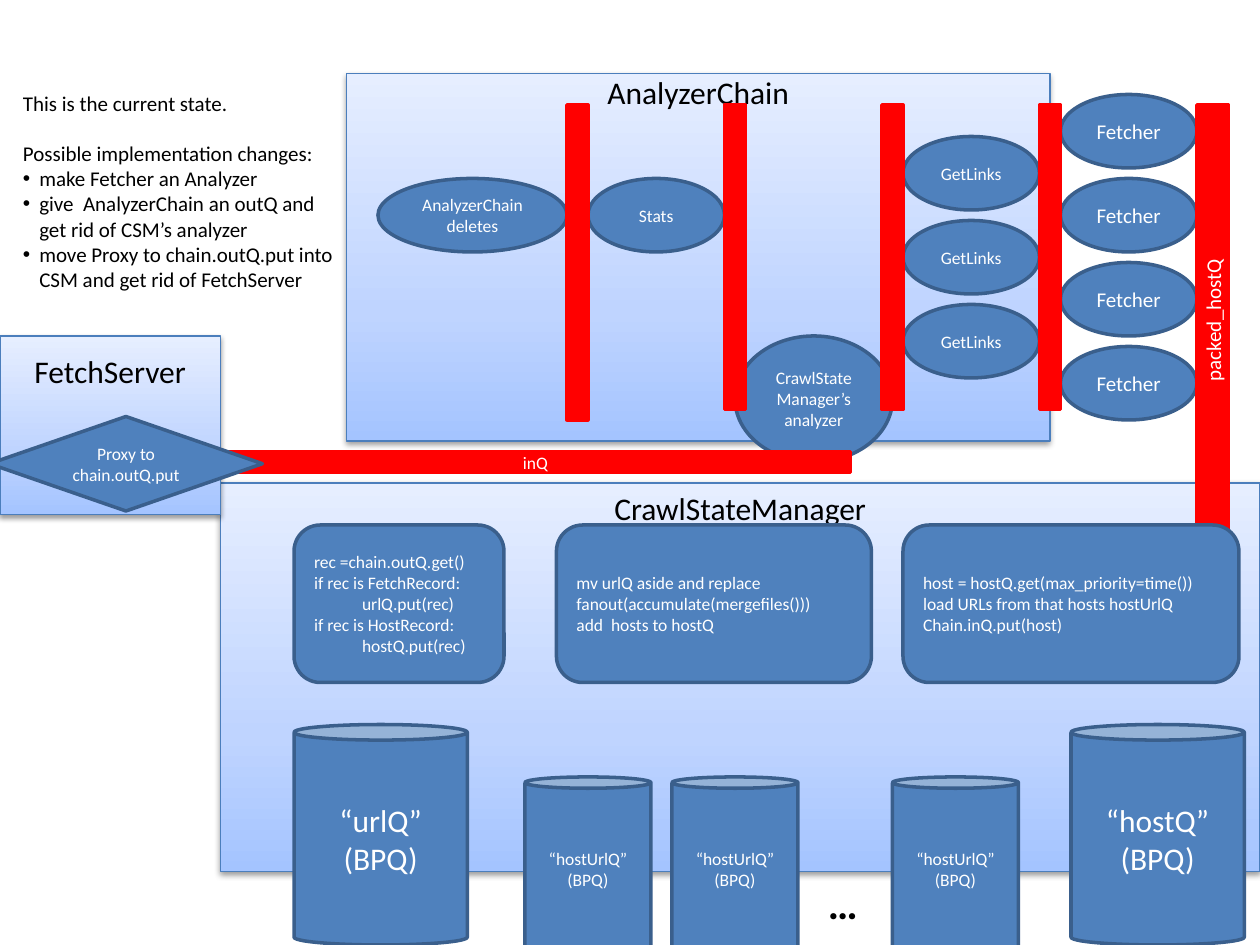
from copy import deepcopy

from lxml import etree
from pptx import Presentation
from pptx.dml import color
from pptx.enum import shapes, text
from pptx.oxml import ns
from pptx.util import Pt

KIND = shapes.MSO_SHAPE
LEFT, CENTER = text.PP_ALIGN.LEFT, text.PP_ALIGN.CENTER
BLUE, EDGE, RED, WHITE, BLACK = "4F81BD", "3A5F8C", "FF0000", "FFFFFF", "000000"
ROW = 48  # distance between stacked workers


def paint(target, value):
    """Give a fill or font a solid colour from a hex string."""
    if hasattr(target, "solid"):
        target.solid()
        target.fore_color.rgb = color.RGBColor.from_string(value)
    else:
        target.color.rgb = color.RGBColor.from_string(value)


def write(box, lines, size, tone=WHITE, align=CENTER, bold=False):
    """Fill a box with one formatted paragraph per line."""
    frame = box.text_frame
    frame.text = "\n".join(lines)
    for para in frame.paragraphs:
        para.alignment = align
        for span in para.runs:
            span.font.size, span.font.name, span.font.bold = Pt(size), "Calibri", bold
            paint(span.font, tone)
    return frame


def indent(para, left, hanging=0, bullet=None):
    """Indent a paragraph and optionally give it a hanging bullet."""
    props = para._p.get_or_add_pPr()
    props.set("marL", str(Pt(left)))
    props.set("indent", str(-Pt(hanging)))
    if bullet:
        font = etree.SubElement(props, ns.qn("a:buFont"))
        font.set("typeface", "Arial")
        etree.SubElement(props, ns.qn("a:buChar")).set("char", bullet)


def node(page, kind, box, lines=(), size=10, fill=BLUE, edge=EDGE, align=CENTER):
    """Draw a solid shape with a two-point outline and its label."""
    shape = page.shapes.add_shape(kind, *map(Pt, box))
    shape.shadow.inherit = False
    paint(shape.fill, fill)
    paint(shape.line.fill, edge)
    shape.line.width = Pt(2)
    if lines:
        write(shape, lines, size, align=align)
    return shape


def queue(page, box, lines=(), size=10):
    """Draw a red queue bar."""
    return node(page, KIND.RECTANGLE, box, lines, size, RED, RED)


def panel(page, box, title, inset):
    """Draw a gradient panel with a soft shadow and a heading at its top."""
    shape = page.shapes.add_shape(KIND.RECTANGLE, *map(Pt, box))
    shape.fill.gradient()
    stops = shape._element.spPr.find(".//" + ns.qn("a:gsLst"))
    stops.insert(1, deepcopy(stops[0]))
    levels = ((0, "A4C4FF"), (0.35, "BFD4FF"), (1, "E6EEFF"))
    for stop, (position, value) in zip(shape.fill.gradient_stops, levels):
        stop.position = position
        paint(stop, value)
    shape.fill.gradient_angle = 90
    paint(shape.line.fill, "4B7EBC")
    shape.line.width = Pt(0.75)
    shape.shadow.inherit = False
    effects = shape._element.spPr.find(ns.qn("a:effectLst"))
    shadow = etree.SubElement(effects, ns.qn("a:outerShdw"), blurRad=str(Pt(3.1)),
                              dist=str(Pt(1.6)), dir="5400000", rotWithShape="0")
    tint = etree.SubElement(shadow, ns.qn("a:srgbClr"), val=BLACK)
    etree.SubElement(tint, ns.qn("a:alpha"), val="38000")
    frame = write(shape, [title], 18, BLACK)
    frame.vertical_anchor = text.MSO_ANCHOR.TOP
    frame.margin_top = Pt(inset)


def workers(page, left, top, label, count, size):
    """Stack equal ellipses downwards."""
    for index in range(count):
        node(page, KIND.OVAL, (left, top + index * ROW, 78, 42), [label], size)


def fetchers(page, left, top):
    """Draw the fetchers and the host queue that feeds them."""
    workers(page, left, top, "Fetcher", 4, 12)
    bar = queue(page, (left + 78, top + 6, 18, 246), ["packed_hostQ"], 12)
    bar.text_frame._txBody.bodyPr.set("vert", "vert270")


def analyzers(page, left, top):
    """Draw the chain of analyzers with the queues between them."""
    workers(page, left + 318, top + 36, "GetLinks", 3, 10)
    node(page, KIND.OVAL, (left + 222, top + 150, 90, 72),
         ["CrawlStateManager’s analyzer"])
    workers(page, left + 138, top + 60, "Stats", 1, 10)
    node(page, KIND.OVAL, (left + 18, top + 60, 108, 42), ["AnalyzerChain deletes"])
    for offset, height in ((126, 180), (216, 174), (306, 174), (396, 174)):
        queue(page, (left + offset, top + 18, 12, height))


def proxy(page, left, top):
    """Draw the incoming queue and the proxy in front of it."""
    queue(page, (left + 126, top + 66, 360, 12), ["inQ"])
    node(page, KIND.DIAMOND, (left - 6, top + 46, 156, 54),
         ["Proxy to chain.outQ.put"])


def notes(page, left, top):
    """Write the remarks on the current state and the bulleted changes."""
    box = page.shapes.add_textbox(Pt(left), Pt(top), Pt(192), Pt(124))
    box.text_frame.word_wrap = True
    frame = write(box, [
        "This is the current state.",
        "Possible implementation changes:",
        "make Fetcher an Analyzer",
        "give  AnalyzerChain an outQ and get rid of CSM’s analyzer",
        "move Proxy to chain.outQ.put into CSM and get rid of FetchServer",
    ], 12, BLACK, LEFT)
    frame.paragraphs[1].space_before = Pt(14.4)
    for para in frame.paragraphs[2:]:
        indent(para, 9.36, 9.36, "•")


def steps(page, left, top):
    """Draw the three loops of the state manager."""
    loops = (
        (390, 192, ["host = hostQ.get(max_priority=time())",
                    "load URLs from that hosts hostUrlQ", "Chain.inQ.put(host)"]),
        (192, 180, ["mv urlQ aside and replace",
                    "fanout(accumulate(mergefiles()))", "add  hosts to hostQ"]),
        (42, 120, ["rec =chain.outQ.get()", "if rec is FetchRecord:", "urlQ.put(rec)",
                   "if rec is HostRecord:", "hostQ.put(rec)"]),
    )
    for offset, width, lines in loops:
        shape = node(page, KIND.ROUNDED_RECTANGLE, (left + offset, top + 24, width, 90),
                     lines, align=LEFT)
        for para in shape.text_frame.paragraphs:
            if para.text in ("urlQ.put(rec)", "hostQ.put(rec)"):
                indent(para, 27.4)


def stores(page, left, top):
    """Draw the persistent queues and the ellipsis between them."""
    large, small = (138, 99, 126, 18), (168, 72, 102, 10)
    for offset, label, (drop, width, height, size) in (
            (42, "urlQ", large), (486, "hostQ", large), (174, "hostUrlQ", small),
            (258, "hostUrlQ", small), (384, "hostUrlQ", small)):
        can = node(page, KIND.CAN, (left + offset, top + drop, width, height),
                   [f"“{label}”", "(BPQ)"], size)
        can.adjustments[0] = 0.09
    box = page.shapes.add_textbox(Pt(left + 340), Pt(top + 222), Pt(32), Pt(36))
    box.text_frame.word_wrap = False
    write(box, ["…"], 24, BLACK, LEFT, True)


def build():
    """Assemble the slide and save it."""
    deck = Presentation()
    deck.slide_width, deck.slide_height = Pt(720), Pt(540)
    page = deck.slides.add_slide(deck.slide_layouts[6])
    manager, chain, server = (126, 276), (198, 42), (0, 192)
    panel(page, (*manager, 594, 222), "CrawlStateManager", 3.6)
    panel(page, (*chain, 402, 210), "AnalyzerChain", 0)
    panel(page, (*server, 126, 102), "FetchServer", 9)
    fetchers(page, 606, 54)
    analyzers(page, *chain)
    proxy(page, *server)
    notes(page, 6, 48)
    steps(page, *manager)
    stores(page, *manager)
    deck.save("out.pptx")


build()
